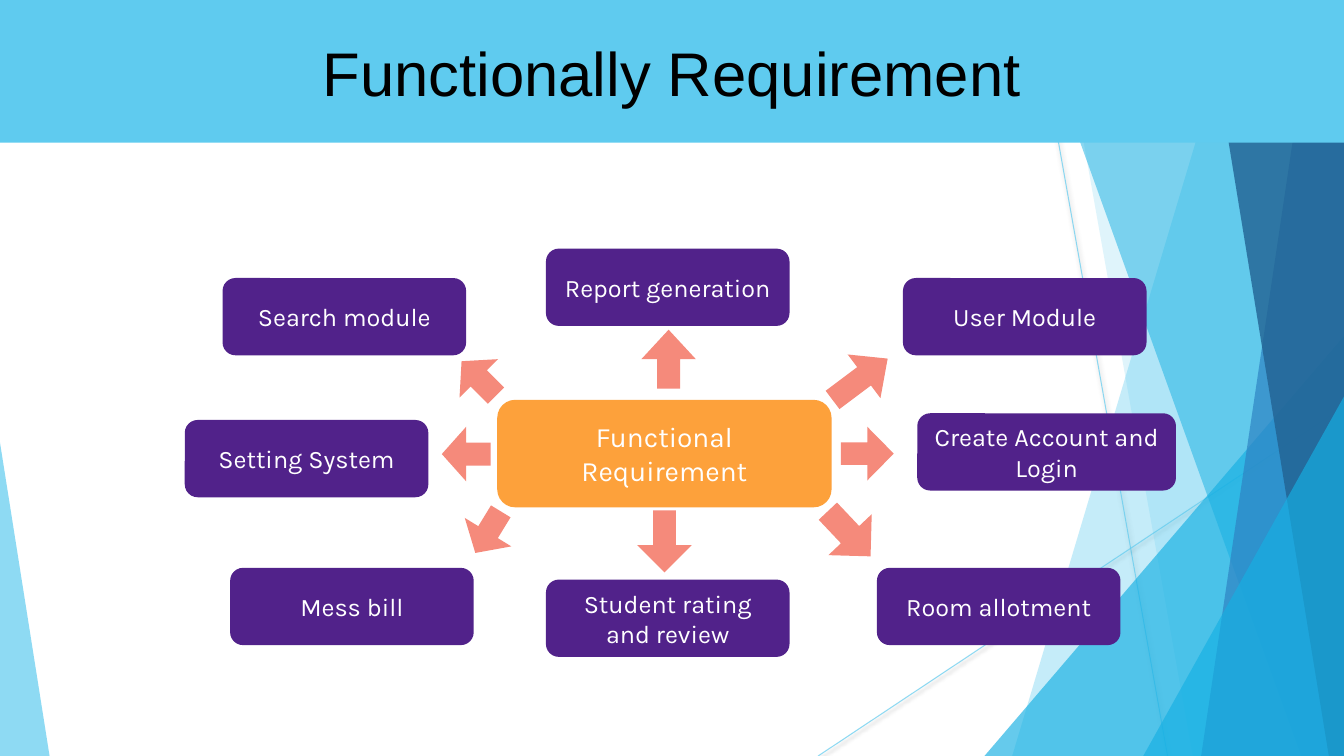
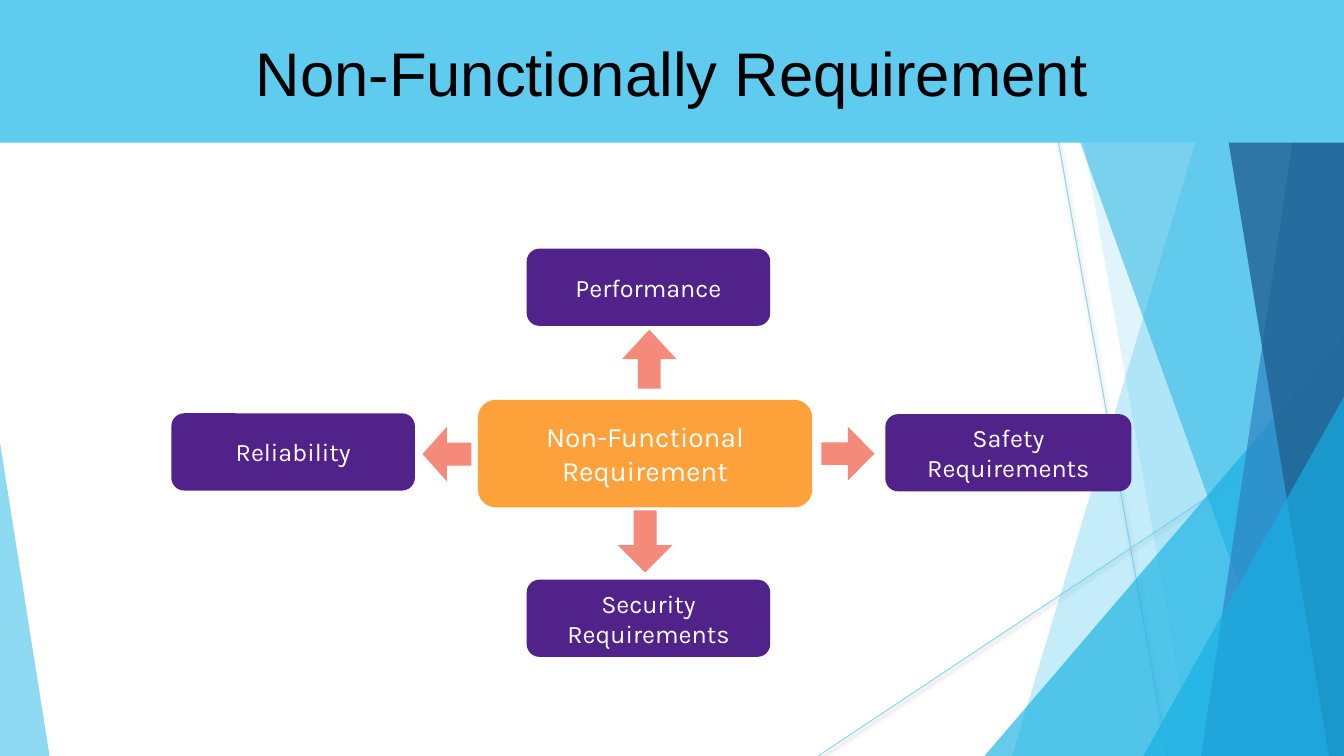
from pptx import Presentation
from pptx.dml.color import RGBColor
from pptx.enum.shapes import MSO_CONNECTOR, MSO_SHAPE
from pptx.enum.text import MSO_ANCHOR, MSO_AUTO_SIZE, PP_ALIGN
from pptx.oxml import parse_xml
from pptx.oxml.ns import nsdecls
from pptx.util import Inches, Pt

SKY = RGBColor(0x5F, 0xCB, 0xEF)
CYAN = RGBColor(0x16, 0xB0, 0xE3)
BLUE = RGBColor(0x2E, 0x83, 0xC3)
NAVY = RGBColor(0x22, 0x62, 0x92)
ORANGE = RGBColor(0xFD, 0xA1, 0x3B)
PURPLE = RGBColor(0x51, 0x22, 0x8A)
CORAL = RGBColor(0xF5, 0x8A, 0x7B)
BLACK = RGBColor(0, 0, 0)
WHITE = RGBColor(0xFF, 0xFF, 0xFF)

CELL = Inches(1 / 12)
COLUMNS, ROWS = 160, 90

FRAME_FORMAT = {
    "word_wrap": True,
    "auto_size": MSO_AUTO_SIZE.NONE,
    "vertical_anchor": MSO_ANCHOR.MIDDLE,
    "margin_left": Inches(0.1),
    "margin_right": Inches(0.1),
    "margin_top": Inches(0.05),
    "margin_bottom": Inches(0.05),
}
TITLE_FONT = {"name": "Arial", "size": Pt(44)}
HUB_FONT = {"name": "Karla", "size": Pt(20)}
MODULE_FONT = {"name": "Karla", "size": Pt(18)}

RAYS = [((123, 0), (139, ROWS)), ((COLUMNS, 48.4), (97.4, ROWS))]
FACETS = [
    ("band", (147.4, 120.5), SKY, 36),
    ("band", (126, 142), SKY, 20),
    ("triangle", (117.2, 40, COLUMNS, 1), CYAN, 66),
    ("band", (122.5, 154.9), CYAN, 50),
    ("band", (156.4, 143), BLUE, 70),
    ("band", (143.5, 158.2), NAVY, 80),
    ("triangle", (136.1, 47.2, COLUMNS, 1), CYAN, 66),
    ("triangle", (0, 52.7, 5.9, 0), SKY, 70),
]

CROSS_ARROWS = [
    (40.9, 50.8, 6.3, 6.4, 0, 0.5),
    (16.2, 61.2, 7.4, 6.5, 90, 0.5),
    (-6.6, 50.8, 5.8, 6.5, 180, 0.5),
    (16.9, 39.5, 7, 6.5, 270, 0.54),
]
DIAGONAL_ARROWS = [
    (39.1, 41.9, 8.2, 6.5, 323.1, 0.54),
    (38.2, 60, 7.4, 7.1, 46.6, 0.5),
    (-4, 60.1, 5.8, 6.5, 121.5, 0.5),
    (-5.1, 41.8, 5.8, 6.5, 225, 0.5),
]
REQUIREMENTS = [
    ("Functionally Requirement", "Functional Requirement", 59.2, CROSS_ARROWS + DIAGONAL_ARROWS, [
        ("User Module", 48.3, 33.1, 29),
        ("Create Account and Login", 50, 49.2, 30.8),
        ("Room allotment", 45.2, 67.6, 29),
        ("Student rating and review", 5.8, 69, 29),
        ("Mess bill", -31.8, 67.6, 29),
        ("Setting System", -37.2, 50, 29),
        ("Search module", -32.7, 33.1, 29),
        ("Report generation", 5.8, 29.6, 29),
    ]),
    ("Non-Functionally Requirement", "Non-Functional Requirement", 56.9, CROSS_ARROWS, [
        ("Safety Requirements", 48.5, 49.3, 29.3),
        ("Security Requirements", 5.8, 69, 29),
        ("Reliability", -36.5, 49.2, 29),
        ("Performance", 5.8, 29.6, 29),
    ]),
]


def paint(shape, colour, opacity=100):
    shape.shadow.inherit = False
    shape.line.fill.background()
    shape.fill.solid()
    shape.fill.fore_color.rgb = colour
    if opacity < 100:
        tint = shape.element.xpath("./p:spPr/a:solidFill/a:srgbClr")[0]
        tint.append(parse_xml(f'<a:alpha {nsdecls("a")} val="{opacity * 1000}"/>'))


def write(shape, text, font_format, colour):
    frame = shape.text_frame
    for attribute, value in FRAME_FORMAT.items():
        setattr(frame, attribute, value)
    paragraph = frame.paragraphs[0]
    paragraph.alignment = PP_ALIGN.CENTER
    run = paragraph.add_run()
    run.text = text
    for attribute, value in font_format.items():
        setattr(run.font, attribute, value)
    run.font.color.rgb = colour


deck = Presentation()
deck.slide_width = COLUMNS * CELL
deck.slide_height = ROWS * CELL
layout = deck.slide_layouts[5]
for placeholder in list(layout.placeholders):
    if placeholder.placeholder_format.idx != 0:
        layout.shapes.element.remove(placeholder.element)

slides = [deck.slides.add_slide(layout) for _ in REQUIREMENTS]
canvas = slides[0].shapes
backdrop = []

for start, end in RAYS:
    ray = canvas.add_connector(MSO_CONNECTOR.STRAIGHT, *(int(v * CELL) for v in start + end))
    ray.line.width = Pt(0.75)
    ray.line.color.rgb = SKY
    tint = ray.element.xpath("./p:spPr/a:ln/a:solidFill/a:srgbClr")[0]
    tint.append(parse_xml(f'<a:alpha {nsdecls("a")} val="70000"/>'))
    ray.element.spPr.append(parse_xml(
        f'<a:effectLst {nsdecls("a")}><a:outerShdw blurRad="{Pt(3.1)}" dist="{Pt(1.6)}" '
        'dir="5400000" rotWithShape="0"><a:srgbClr val="000000"><a:alpha val="38000"/>'
        '</a:srgbClr></a:outerShdw></a:effectLst>'))
    backdrop.append(ray)

for kind, outline, colour, opacity in FACETS:
    if kind == "band":
        top, foot = outline
        corners = [(top, 0), (COLUMNS, 0), (COLUMNS, ROWS), (foot, ROWS)]
        first, *others = [(int(x * CELL), int(y * CELL)) for x, y in corners]
        builder = canvas.build_freeform(*first)
        builder.add_line_segments(others, close=True)
        facet = builder.convert_to_shape()
    else:
        left, top, right, apex = outline
        box = (left, top, right - left, ROWS - top)
        facet = canvas.add_shape(MSO_SHAPE.ISOSCELES_TRIANGLE, *(int(v * CELL) for v in box))
        facet.adjustments[0] = apex
    paint(facet, colour, opacity)
    backdrop.append(facet)

for piece in backdrop:
    layout.shapes.element.append(piece.element)

for slide, (heading, topic, hub_left, arrows, modules) in zip(slides, REQUIREMENTS):
    title = slide.shapes.title
    title.left, title.top = 0, 0
    title.width, title.height = COLUMNS * CELL, 17 * CELL
    paint(title, SKY)
    write(title, heading, TITLE_FONT, BLACK)

    boxes = [(topic, 0, 47.6, 39.8, 12.8, ORANGE, HUB_FONT)]
    boxes += [(*module, 9.2, PURPLE, MODULE_FONT) for module in modules]
    for text, offset, top, width, height, colour, font_format in boxes:
        box = (hub_left + offset, top, width, height)
        panel = slide.shapes.add_shape(MSO_SHAPE.ROUNDED_RECTANGLE, *(int(v * CELL) for v in box))
        paint(panel, colour)
        write(panel, text, font_format, WHITE)

    for offset, top, length, breadth, angle, head in arrows:
        box = (hub_left + offset, top, length, breadth)
        arrow = slide.shapes.add_shape(MSO_SHAPE.RIGHT_ARROW, *(int(v * CELL) for v in box))
        arrow.rotation = angle
        arrow.adjustments[0] = 0.42
        arrow.adjustments[1] = head
        paint(arrow, CORAL)

deck.save("out.pptx")
